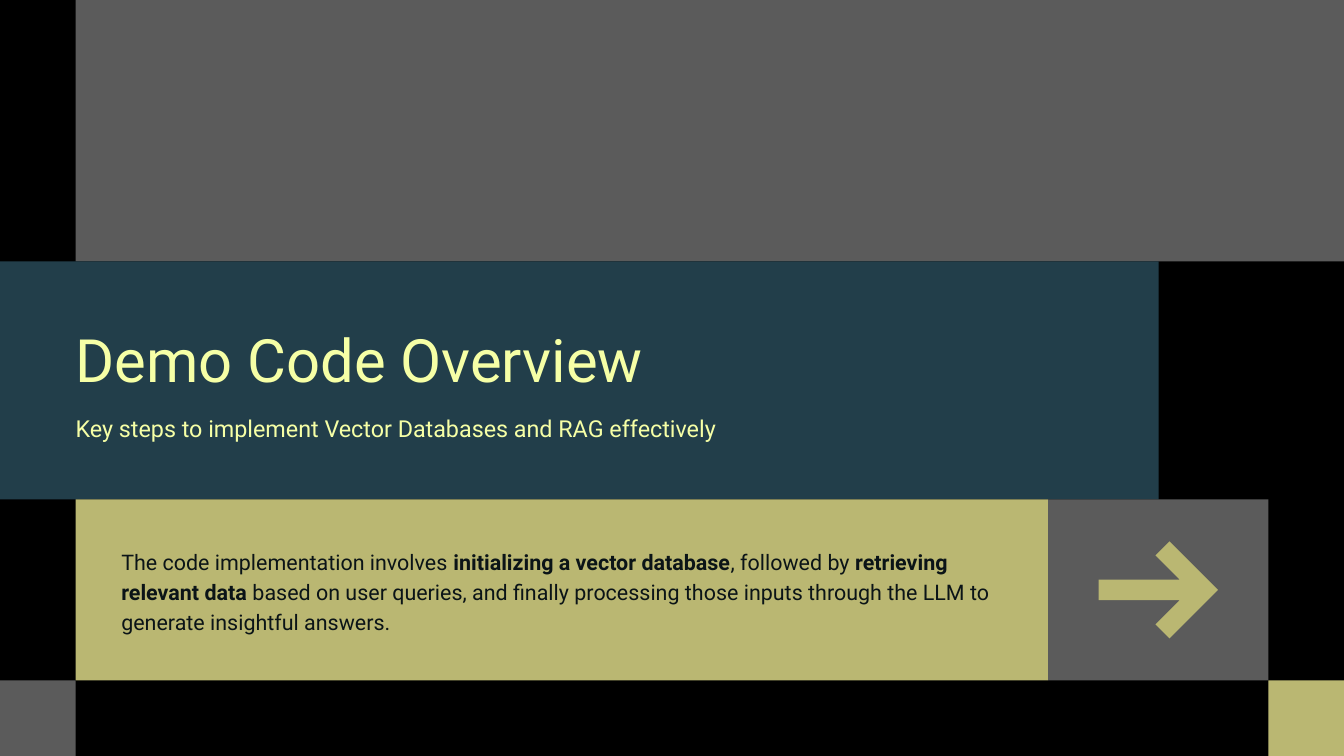
from pptx import Presentation
from pptx.dml.color import RGBColor
from pptx.enum.shapes import MSO_SHAPE
from pptx.enum.text import MSO_ANCHOR, MSO_AUTO_SIZE, PP_ALIGN
from pptx.util import Pt

WIDTH, HEIGHT, MARGIN = 1440, 810, 81
BAND_TOP, BAND_BOTTOM, FOOT_TOP = 280, 535, HEIGHT - MARGIN
GREY, TEAL, OLIVE = "5B5B5B", "223E4A", "BAB772"
CREAM, INK, BLACK = "F6FFA6", "0B1417", "000000"


def paint(fill, color):
    """Make a fill solid in the given hex colour."""
    fill.solid()
    fill.fore_color.rgb = RGBColor.from_string(color)


def finish(shape, color):
    """Give a shape a flat fill without line or shadow."""
    shape.shadow.inherit = False
    shape.line.fill.background()
    paint(shape.fill, color)


def add_panel(page, left, top, width, height, color):
    """Place a flat rectangle."""
    panel = page.shapes.add_shape(
        MSO_SHAPE.RECTANGLE, Pt(left), Pt(top), Pt(width), Pt(height))
    finish(panel, color)


def write_text(box, spans, left, top, width, height, size=23, color=INK, spacing=32.2):
    """Place a text box and fill it with (words, bold) spans."""
    box.left, box.top, box.width, box.height = map(Pt, (left, top, width, height))
    frame = box.text_frame
    frame.word_wrap = True
    frame.auto_size = MSO_AUTO_SIZE.NONE
    frame.vertical_anchor = MSO_ANCHOR.TOP
    frame.margin_left = frame.margin_right = frame.margin_top = frame.margin_bottom = 0
    para = frame.paragraphs[0]
    para.alignment = PP_ALIGN.LEFT
    para.space_before = para.space_after = Pt(0)
    para.line_spacing = Pt(spacing)
    for words, bold in spans:
        span = para.add_run()
        span.text = words
        span.font.name = "Roboto"
        span.font.size = Pt(size)
        span.font.bold = bold
        span.font.color.rgb = RGBColor.from_string(color)


def add_heading(page, left, top, width, height):
    """Build the teal band with title and subtitle."""
    add_panel(page, left, top, width, height, TEAL)
    title, subtitle = page.placeholders
    for box in (title, subtitle):
        page.shapes.element.append(box.element)
    write_text(title, [("Demo Code Overview", False)], left + MARGIN, top + 59,
               983.5, 81, size=64, color=CREAM, spacing=83.2)
    write_text(subtitle,
               [("Key steps to implement Vector Databases and RAG effectively", False)],
               left + MARGIN, top + 158.5, 983.5, 33, size=25, color=CREAM, spacing=35)


def add_summary(page, left, top, width, height):
    """Build the olive panel with the explanation."""
    add_panel(page, left, top, width, height, OLIVE)
    box = page.shapes.add_textbox(0, 0, 0, 0)
    write_text(box, [
        ("The code implementation involves ", False),
        ("initializing a vector database", True),
        (", followed by ", False),
        ("retrieving relevant data", True),
        (" based on user queries, and finally processing those inputs through "
         "the LLM to generate insightful answers.", False),
    ], left + 49, top + 48.5, 944, 93.6)


def add_arrow_tile(page, left, top, width, height):
    """Build the grey tile with an arrow at its centre."""
    add_panel(page, left, top, width, height, GREY)
    middle_x, middle_y = left + width / 2, top + height / 2
    upper = [(-64, -11), (23, -11), (-3, -37), (12, -52)]
    lower = [(x, -y) for x, y in reversed(upper)]
    outline = [(Pt(middle_x + x), Pt(middle_y + y)) for x, y in upper + [(64, 0)] + lower]
    builder = page.shapes.build_freeform(*outline[0])
    builder.add_line_segments(outline[1:], close=True)
    finish(builder.convert_to_shape(), OLIVE)


def main():
    """Build and save the deck."""
    deck = Presentation()
    deck.slide_width, deck.slide_height = Pt(WIDTH), Pt(HEIGHT)
    page = deck.slides.add_slide(deck.slide_layouts[0])
    paint(page.background.fill, BLACK)
    tile_left, right = 1123, WIDTH - MARGIN
    add_panel(page, MARGIN, 0, right, BAND_TOP, GREY)
    add_heading(page, 0, BAND_TOP, 1241.5, BAND_BOTTOM - BAND_TOP)
    row_height = FOOT_TOP - BAND_BOTTOM
    add_summary(page, MARGIN, BAND_BOTTOM, tile_left - MARGIN, row_height)
    add_arrow_tile(page, tile_left, BAND_BOTTOM, right - tile_left, row_height)
    for left, color in ((0, GREY), (right, OLIVE)):
        add_panel(page, left, FOOT_TOP, MARGIN, MARGIN, color)
    deck.save("out.pptx")


if __name__ == "__main__":
    main()
